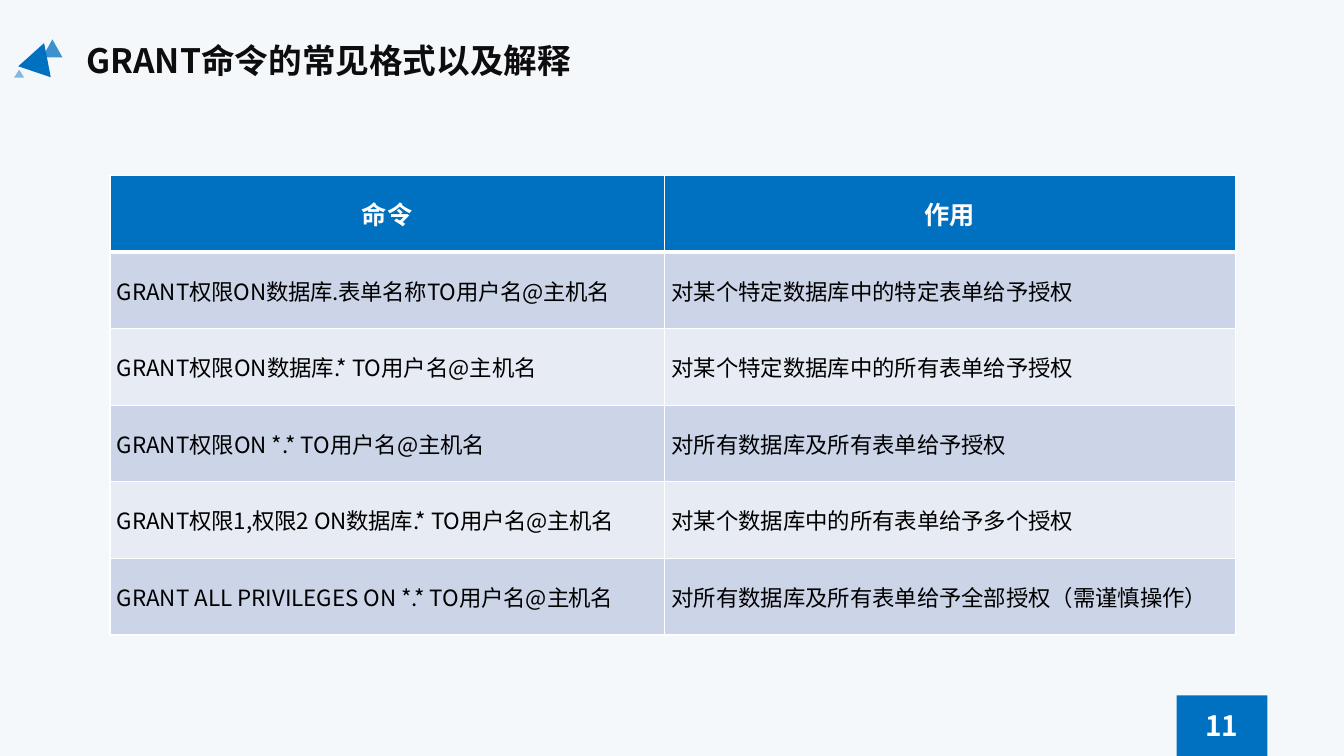
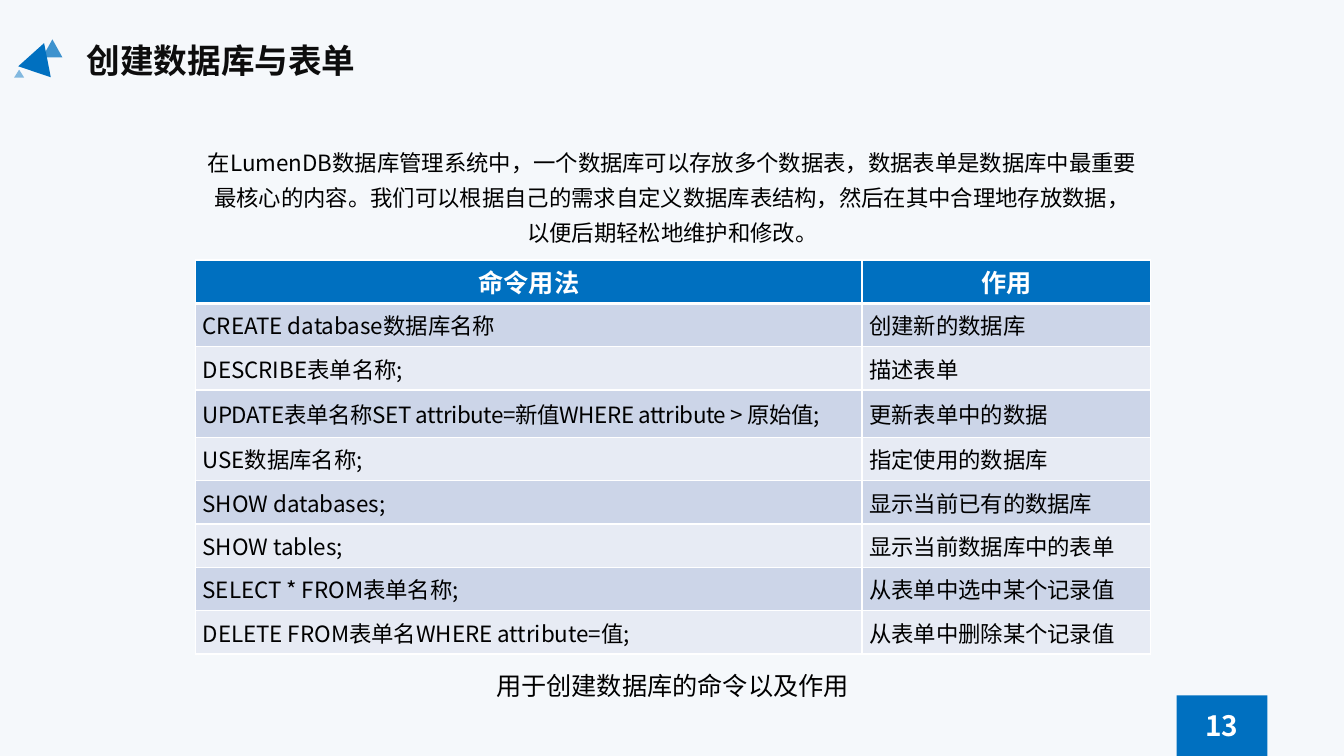
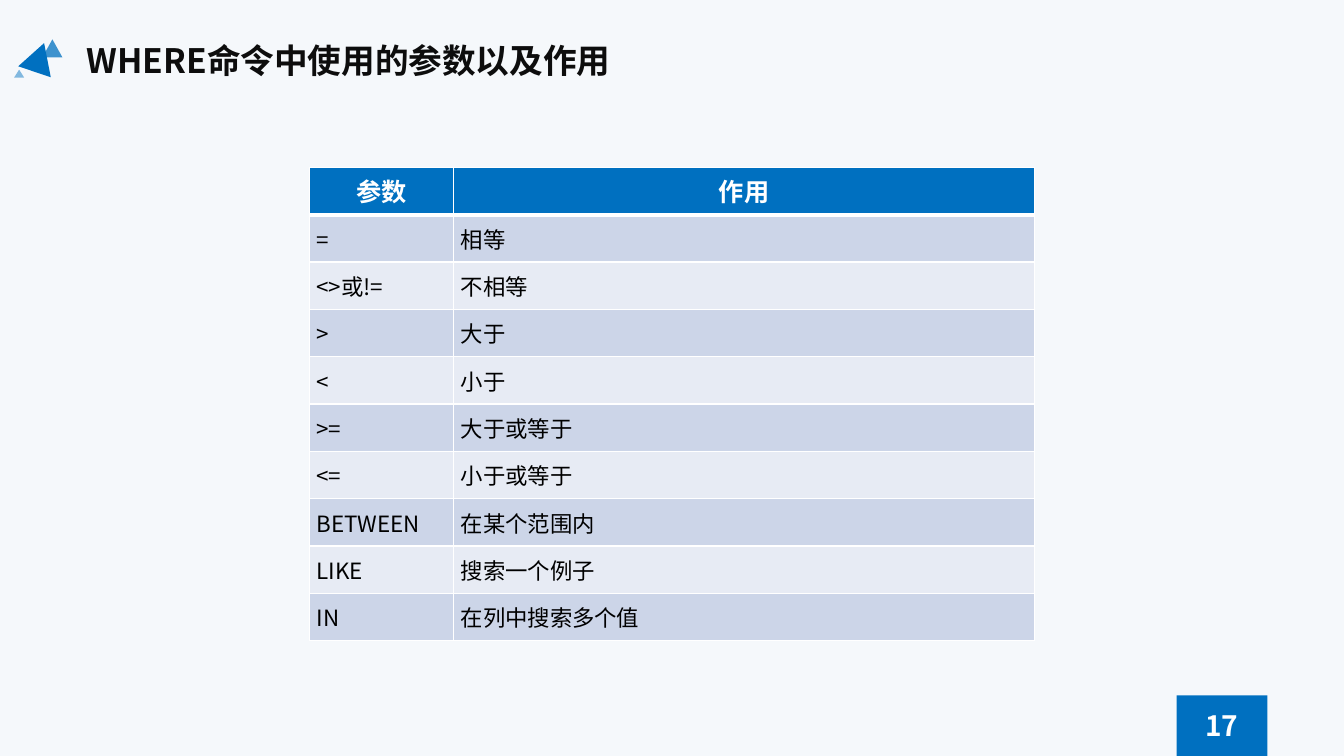
import pptx
import pptx.dml.color
import pptx.enum.shapes
import pptx.enum.text
import pptx.oxml.ns
import pptx.util
from lxml import etree

Inches = pptx.util.Inches
ALIGN = pptx.enum.text.PP_ALIGN
ANCHOR = pptx.enum.text.MSO_ANCHOR
SHAPE = pptx.enum.shapes.MSO_SHAPE
qn = pptx.oxml.ns.qn

# Shared look
FONT = "Noto Sans CJK SC"
COLORS = {
    "background": "F5F8FB",
    "accent": "0070C0",
    "title": "0D0D0D",
    "text": "000000",
    "white": "FFFFFF",
    "band_dark": "CCD5E8",
    "band_light": "E7EBF4",
}
FORMATS = {
    "title": {"size": 24, "bold": True, "color": "title"},
    "page": {"size": 20, "bold": True, "color": "white"},
    "header": {"size": 18, "bold": True, "color": "white"},
    "caption": {"size": 18, "bold": False, "color": "text"},
    "body": {"size": 16, "bold": False, "color": "text"},
}
TIGHT_SPACING = "-30"  # hundredths of a point

# Left, top, width, height, rotation, opacity in percent
MARKER_TRIANGLES = [
    (0.42, 0.39, 0.2, 0.18, 0, 75),
    (0.22, 0.42, 0.34, 0.3, 18.5, 100),
    (0.14, 0.69, 0.1, 0.08, 0, 47),
]

# Table content; every second part between bars is set slightly tighter
GRANT_ROWS = [
    ("命令", "作用"),
    ("GRANT|权限|ON|数据库.表单名称|TO|用户名|@|主机名", "对某个特定数据库中的特定表单给予授权"),
    ("GRANT权限ON数据库.* TO用户名@主机名", "对某个特定数据库中的所有表单给予授权"),
    ("GRANT权限ON *.* TO用户名@主机名", "对所有数据库及所有表单给予授权"),
    ("GRANT|权限|1,|权限|2 ON|数据库|.* TO|用户名|@|主机名", "对某个数据库中的所有表单给予多个授权"),
    ("GRANT ALL PRIVILEGES ON *.* TO|用户名|@|主机名", "对所有数据库及所有表单给予全部授权（需谨慎操作）"),
]
CREATE_ROWS = [
    ("命令用法", "作用"),
    ("CREATE database数据库名称", "创建新的数据库"),
    ("DESCRIBE表单名称;", "描述表单"),
    ("|UPDATE表单名称SET attribute=新值WHERE attribute > 原始值;", "更新表单中的数据"),
    ("USE数据库名称;", "指定使用的数据库"),
    ("SHOW databases;", "显示当前已有的数据库"),
    ("SHOW tables;", "显示当前数据库中的表单"),
    ("SELECT * FROM表单名称;", "从表单中选中某个记录值"),
    ("DELETE FROM表单名WHERE attribute=值;", "从表单中删除某个记录值"),
]
WHERE_ROWS = [
    ("参数", "作用"),
    ("=", "相等"),
    ("<>或!=", "不相等"),
    (">", "大于"),
    ("<", "小于"),
    (">=", "大于或等于"),
    ("<=", "小于或等于"),
    ("BETWEEN", "在某个范围内"),
    ("LIKE", "搜索一个例子"),
    ("IN", "在列中搜索多个值"),
]
INTRO = (
    "在LumenDB数据库管理系统中，一个数据库可以存放多个数据表，"
    "数据表单是数据库中最重要最核心的内容。我们可以根据自己的需求自定义数据库表结构，"
    "然后在其中合理地存放数据，以便后期轻松地维护和修改。"
)


def rgb(name):
    return pptx.dml.color.RGBColor.from_string(COLORS[name])


def paint(fill, color):
    fill.solid()
    fill.fore_color.rgb = rgb(color)


def write(paragraph, text, style, alignment):
    """Fill a paragraph with formatted runs, one for each part between bars."""
    paragraph.alignment = alignment
    values = FORMATS[style]
    for index, part in enumerate(text.split("|")):
        if not part:
            continue
        run = paragraph.add_run()
        run.text = part
        font_values = {"name": FONT, "size": pptx.util.Pt(values["size"]), "bold": values["bold"]}
        for attribute, value in font_values.items():
            setattr(run.font, attribute, value)
        run.font.color.rgb = rgb(values["color"])
        properties = run.font._element
        etree.SubElement(properties, qn("a:ea"), typeface=FONT)
        if index % 2:
            properties.set("spc", TIGHT_SPACING)


def add_title(slide, text):
    title = slide.shapes.title
    place = {"left": 0.76, "top": 0.35, "width": 7, "height": 0.5}
    for attribute, value in place.items():
        setattr(title, attribute, Inches(value))
    frame = title.text_frame
    frame.auto_size = pptx.enum.text.MSO_AUTO_SIZE.NONE
    frame.vertical_anchor = ANCHOR.TOP
    write(frame.paragraphs[0], text, "title", ALIGN.LEFT)


def add_accent_shape(shapes, kind, left, top, width, height, opacity=100):
    shape = shapes.add_shape(kind, Inches(left), Inches(top), Inches(width), Inches(height))
    shape.shadow.inherit = False
    shape.line.fill.background()
    paint(shape.fill, "accent")
    if opacity < 100:
        color = shape._element.spPr.find(qn("a:solidFill"))[0]
        etree.SubElement(color, qn("a:alpha"), val=str(opacity * 1000))
    return shape


def add_base_slide(presentation, title, page):
    """Add a slide with background, title, corner marker and page number."""
    slide = presentation.slides.add_slide(presentation.slide_layouts[5])
    paint(slide.background.fill, "background")
    add_title(slide, title)
    marker = slide.shapes.add_group_shape()
    for left, top, width, height, rotation, opacity in MARKER_TRIANGLES:
        triangle = add_accent_shape(
            marker.shapes, SHAPE.ISOSCELES_TRIANGLE, left, top, width, height, opacity)
        triangle.rotation = rotation
    badge = add_accent_shape(slide.shapes, SHAPE.RECTANGLE, 11.67, 6.9, 0.9, 0.6)
    badge.text_frame.vertical_anchor = ANCHOR.MIDDLE
    write(badge.text_frame.paragraphs[0], str(page), "page", ALIGN.CENTER)
    return slide


def add_text(slide, text, style, left, top, width, height, line_spacing=1.0):
    box = slide.shapes.add_textbox(Inches(left), Inches(top), Inches(width), Inches(height))
    box.text_frame.word_wrap = True
    paragraph = box.text_frame.paragraphs[0]
    paragraph.line_spacing = line_spacing
    write(paragraph, text, style, ALIGN.CENTER)


def set_borders(cell, widths):
    """Draw white cell borders; widths maps L, R, T and B to points."""
    properties = cell._tc.get_or_add_tcPr()
    for index, (side, points) in enumerate(widths.items()):
        line = etree.Element(qn("a:ln" + side), w=str(pptx.util.Pt(points)))
        fill = etree.SubElement(line, qn("a:solidFill"))
        etree.SubElement(fill, qn("a:srgbClr"), val=COLORS["white"])
        properties.insert(index, line)


def add_command_table(slide, rows, left, top, column_widths, row_heights):
    frame = slide.shapes.add_table(
        len(rows), len(column_widths), Inches(left), Inches(top),
        Inches(sum(column_widths)), Inches(sum(row_heights)))
    table = frame.table
    for column, width in zip(table.columns, column_widths):
        column.width = Inches(width)
    for row_index, (row, height) in enumerate(zip(rows, row_heights)):
        table.rows[row_index].height = Inches(height)
        is_header = row_index == 0
        if is_header:
            color, style, alignment = "accent", "header", ALIGN.CENTER
        else:
            color = "band_dark" if row_index % 2 else "band_light"
            style, alignment = "body", ALIGN.JUSTIFY
        borders = {"L": 1, "R": 1, "T": 3 if row_index == 1 else 1, "B": 3 if is_header else 1}
        cell_values = {
            "margin_left": Inches(0.07), "margin_right": Inches(0.07),
            "margin_top": 0, "margin_bottom": 0, "vertical_anchor": ANCHOR.MIDDLE,
        }
        for column_index, text in enumerate(row):
            cell = table.cell(row_index, column_index)
            for attribute, value in cell_values.items():
                setattr(cell, attribute, value)
            paint(cell.fill, color)
            set_borders(cell, borders)
            write(cell.text_frame.paragraphs[0], text, style, alignment)


def main():
    presentation = pptx.Presentation()
    presentation.slide_width = Inches(13.33)
    presentation.slide_height = Inches(7.5)

    # GRANT formats
    slide = add_base_slide(presentation, "GRANT命令的常见格式以及解释", 11)
    add_command_table(slide, GRANT_ROWS, 1.09, 1.74, [5.5, 5.66], [0.76] * 6)

    # Creating databases and tables
    slide = add_base_slide(presentation, "创建数据库与表单", 13)
    add_text(slide, INTRO, "body", 1.94, 1.35, 9.46, 1.12, line_spacing=1.3)
    add_command_table(slide, CREATE_ROWS, 1.94, 2.58, [6.61, 2.86],
                      [0.43] * 3 + [0.47] + [0.43] * 5)
    add_text(slide, "用于创建数据库的命令以及作用", "caption", 4.1, 6.6, 5.14, 0.4)

    # WHERE parameters
    slide = add_base_slide(presentation, "WHERE命令中使用的参数以及作用", 17)
    add_command_table(slide, WHERE_ROWS, 3.07, 1.66, [1.43, 5.76], [0.47] * 10)

    presentation.save("out.pptx")


if __name__ == "__main__":
    main()
